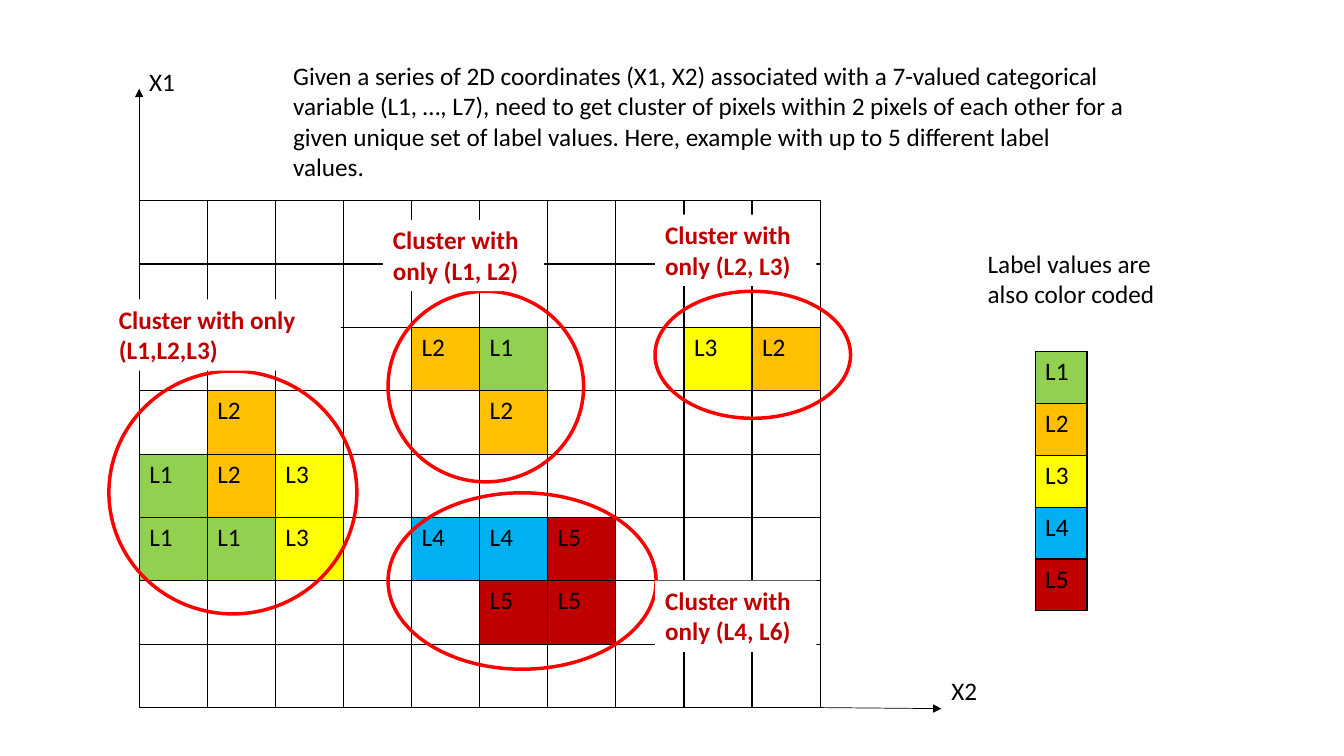
"""Build a slide explaining clusters of labelled pixels on a 2D grid."""
from lxml.etree import SubElement
from pptx import Presentation
from pptx.dml.color import RGBColor
from pptx.enum.shapes import MSO_CONNECTOR, MSO_SHAPE
from pptx.oxml import parse_xml
from pptx.oxml.ns import nsdecls, qn
from pptx.util import Pt

COLORS = {
    "L1": "92D050", "L2": "FFC000", "L3": "FFFF00", "L4": "00B0F0", "L5": "C00000",
    "text": "000000", "line": "000000", "ring": "FF0000", "caption": "C00000",
    "caption_fill": "FFFFFF",
}
GRID = [
    ".. .. .. .. .. .. .. .. .. ..",
    ".. .. .. .. .. .. .. .. .. ..",
    ".. .. .. .. L2 L1 .. .. L3 L2",
    ".. L2 .. .. .. L2 .. .. .. ..",
    "L1 L2 L3 .. .. .. .. .. .. ..",
    "L1 L1 L3 .. L4 L4 L5 .. .. ..",
    ".. .. .. .. .. L5 L5 .. .. ..",
    ".. .. .. .. .. .. .. .. .. ..",
]
LEGEND = ["L1", "L2", "L3", "L4", "L5"]
RINGS = [
    (77.8, 265, 177.1, 173.5),
    (277.2, 208.1, 139.7, 136.1),
    (467.9, 208.1, 139.7, 90.7),
    (277.2, 352, 191.5, 126),
]
CAPTIONS = [
    ("Cluster with only (L1,L2,L3)", 77.8, 213.9, 165.6),
    ("Cluster with only (L1, L2)", 273.6, 157, 115.2),
    ("Cluster with only (L2, L3)", 468, 153.4, 115.2),
    ("Cluster with only (L4, L6)", 468, 414.7, 115.2),
]
AXES = [(99.4, 143.3, 99.4, 63.4), (583.2, 505.4, 672.5, 506.2)]
NOTES = [
    ("Label values are also color coded", 698.4, 173.5, 139.7, 50.9),
    ("X1", 99.4, 43.9, 40.3, 29.1),
    ("X2", 672.5, 478.8, 40.3, 29.1),
    ("Given a series of 2D coordinates (X1, X2) associated with a 7-valued "
     "categorical variable (L1, …, L7), need to get cluster of pixels within "
     "2 pixels of each other for a given unique set of label values. Here, "
     "example with up to 5 different label values.", 202.3, 39.6, 608.4, 94.3),
]


def color(name):
    return RGBColor.from_string(COLORS[name])


def format_text(paragraph, text, color_name="text", bold=False):
    paragraph.text = text
    paragraph.font.name = "Calibri"
    paragraph.font.size = Pt(18)
    paragraph.font.bold = bold
    paragraph.font.color.rgb = color(color_name)


def add_borders(cell):
    properties = cell._tc.get_or_add_tcPr()
    for position, side in enumerate(("lnL", "lnR", "lnT", "lnB")):
        properties.insert(position, parse_xml(
            f'<a:{side} {nsdecls("a")} w="{Pt(1)}"><a:solidFill>'
            f'<a:srgbClr val="{COLORS["line"]}"/></a:solidFill></a:{side}>'))


def add_label_table(slide, rows, left, top, column_width, row_height):
    column_count = len(rows[0])
    table = slide.shapes.add_table(
        len(rows), column_count, Pt(left), Pt(top),
        Pt(column_width * column_count), Pt(row_height * len(rows))).table
    table.first_row = table.horz_banding = False
    for column in table.columns:
        column.width = Pt(column_width)
    for row, labels in zip(table.rows, rows):
        row.height = Pt(row_height)
        for cell, label in zip(row.cells, labels):
            if label in LEGEND:
                cell.fill.solid()
                cell.fill.fore_color.rgb = color(label)
                format_text(cell.text_frame.paragraphs[0], label)
            else:
                cell.fill.background()
            add_borders(cell)


def add_ring(slide, left, top, width, height):
    ring = slide.shapes.add_shape(
        MSO_SHAPE.OVAL, Pt(left), Pt(top), Pt(width), Pt(height))
    ring.shadow.inherit = False
    ring.fill.background()
    ring.line.color.rgb = color("ring")
    ring.line.width = Pt(2.5)


def add_text(slide, text, left, top, width, height, color_name="text", bold=False):
    box = slide.shapes.add_textbox(Pt(left), Pt(top), Pt(width), Pt(height))
    box.text_frame.word_wrap = True
    format_text(box.text_frame.paragraphs[0], text, color_name, bold)
    return box


def add_caption(slide, text, left, top, width):
    box = add_text(slide, text, left, top, width, 50.9, "caption", True)
    box.fill.solid()
    box.fill.fore_color.rgb = color("caption_fill")


def add_axis(slide, *ends):
    axis = slide.shapes.add_connector(
        MSO_CONNECTOR.STRAIGHT, *[Pt(value) for value in ends])
    axis.line.color.rgb = color("line")
    axis.line.width = Pt(0.5)
    SubElement(axis.line._get_or_add_ln(), qn("a:tailEnd"), type="triangle")
    SubElement(axis._element.spPr, qn("a:effectLst"))


def main():
    presentation = Presentation()
    presentation.slide_width = Pt(960)
    presentation.slide_height = Pt(540)
    slide = presentation.slides.add_slide(presentation.slide_layouts[6])
    add_label_table(slide, [row.split() for row in GRID], 99.4, 143.3, 48.67, 45.27)
    for ring in RINGS:
        add_ring(slide, *ring)
    for caption in CAPTIONS:
        add_caption(slide, *caption)
    add_label_table(slide, [[label] for label in LEGEND], 739.4, 251.3, 37, 37)
    for axis in AXES:
        add_axis(slide, *axis)
    for note in NOTES:
        add_text(slide, *note)
    presentation.save("out.pptx")


if __name__ == "__main__":
    main()
